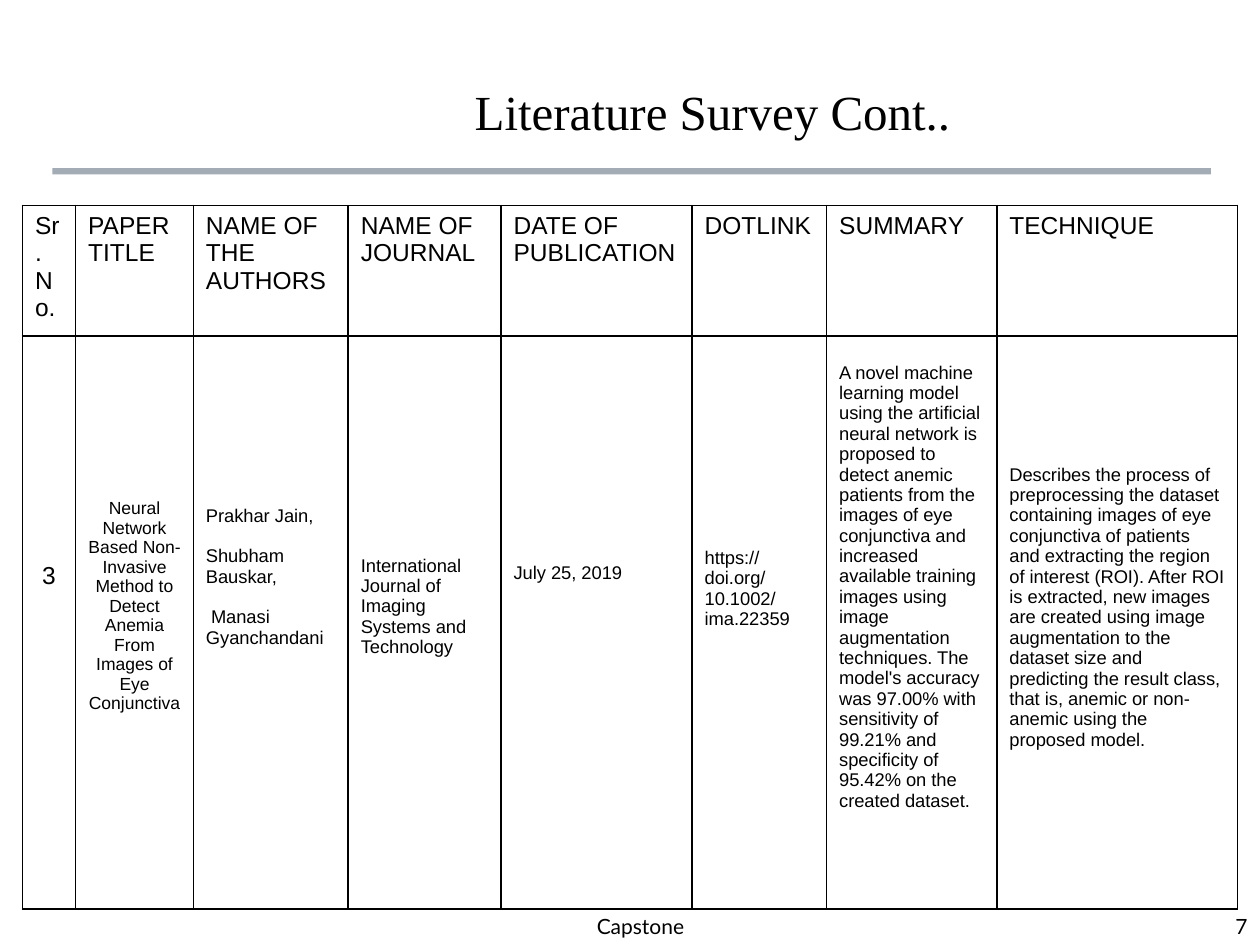
"""Build the literature survey slide with its one-paper table."""
from lxml import etree
from pptx import Presentation
from pptx import util as u
from pptx.dml.color import RGBColor
from pptx.enum import shapes, text
from pptx.oxml import ns

COLORS = {"text": "000000", "rule": "44546A", "border": "000000"}
LEFT, CENTER, RIGHT = text.PP_ALIGN.LEFT, text.PP_ALIGN.CENTER, text.PP_ALIGN.RIGHT
INSETS = {"margin_left": 7.2, "margin_right": 7.2, "margin_top": 3.6, "margin_bottom": 3.6}
HEADER_FORMAT = {"size": 14, "font": "Arial", "align": LEFT}
BODY_FORMAT = HEADER_FORMAT | {"size": 10.5}
ROW_HEIGHTS = [52, 327.6]

# Each column: width, heading, body paragraphs, drop of the body text, format changes
COLUMNS = [
    (30.4, "Sr. No.", ["3"], 126, {"size": 14, "align": CENTER}),
    (67.3, "PAPER TITLE",
     ["Neural Network Based Non-Invasive Method to Detect Anemia From Images of Eye Conjunctiva"],
     89.5, {"size": 10, "align": CENTER}),
    (88.5, "NAME OF THE AUTHORS",
     ["Prakhar Jain,", "Shubham Bauskar,", " Manasi Gyanchandani"], 93.5, {"gap": 11.6}),
    (87.3, "NAME OF JOURNAL",
     ["International Journal of Imaging Systems and", "Technology"], 122, {}),
    (109.2, "DATE OF PUBLICATION", ["July 25, 2019"], 126, {}),
    (76.9, "DOTLINK", ["https://doi.org/10.1002/ima.22359"], 117.5, {}),
    (97.3, "SUMMARY",
     ["A novel machine learning model using the artificial neural network is proposed to detect "
      "anemic patients from the images of eye conjunctiva and increased available training images "
      "using image augmentation techniques. The model's accuracy was 97.00% with sensitivity of "
      "99.21% and specificity of 95.42% on the created dataset."], 11.7, {}),
    (137.4, "TECHNIQUE",
     ["Describes the process of preprocessing the dataset containing images of eye conjunctiva of "
      "patients and extracting the region of interest (ROI). After ROI is extracted, new images "
      "are created using image augmentation to the dataset size and predicting the result class, "
      "that is, anemic or non-anemic using the proposed model."], 70, {}),
]


def set_attributes(target, values):
    for name, value in values.items():
        setattr(target, name, value)


def set_insets(target, drop=0):
    insets = INSETS | {"margin_top": INSETS["margin_top"] + drop}
    set_attributes(target, {name: u.Pt(value) for name, value in insets.items()})


def write_paragraphs(frame, lines, style):
    for index, line in enumerate(lines):
        paragraph = frame.add_paragraph() if index else frame.paragraphs[0]
        paragraph.alignment = style["align"]
        if index and "gap" in style:
            paragraph.space_before = u.Pt(style["gap"])
        run = paragraph.add_run()
        run.text = line
        set_attributes(run.font, {"size": u.Pt(style["size"]), "name": style["font"]})
        run.font.color.rgb = RGBColor.from_string(COLORS["text"])


def add_text(slide, box, line, style):
    frame = slide.shapes.add_textbox(*map(u.Pt, box)).text_frame
    set_attributes(frame, {"word_wrap": True, "vertical_anchor": text.MSO_ANCHOR.BOTTOM})
    set_insets(frame)
    write_paragraphs(frame, [line], style)


def add_rule(slide, box, opacity):
    shape = slide.shapes.add_shape(shapes.MSO_SHAPE.RECTANGLE, *map(u.Pt, box))
    shape.shadow.inherit = False
    shape.line.fill.background()
    shape.fill.solid()
    shape.fill.fore_color.rgb = RGBColor.from_string(COLORS["rule"])
    color = shape.fill._xPr.find(".//" + ns.qn("a:srgbClr"))
    etree.SubElement(color, ns.qn("a:alpha"), val=str(opacity * 1000))


def add_borders(cell, width):
    properties = cell._tc.get_or_add_tcPr()
    for position, side in enumerate(("lnL", "lnR", "lnT", "lnB")):
        line = etree.Element(ns.qn(f"a:{side}"), w=str(u.Pt(width)))
        fill = etree.SubElement(line, ns.qn("a:solidFill"))
        etree.SubElement(fill, ns.qn("a:srgbClr"), val=COLORS["border"])
        properties.insert(position, line)


def fill_cell(cell, lines, style, drop=0):
    cell.fill.background()
    set_insets(cell, drop)
    write_paragraphs(cell.text_frame, lines, style)
    add_borders(cell, 1)


def add_survey_table(slide, left, top):
    width = sum(column[0] for column in COLUMNS)
    box = (left, top, width, sum(ROW_HEIGHTS))
    table = slide.shapes.add_table(len(ROW_HEIGHTS), len(COLUMNS), *map(u.Pt, box)).table
    set_attributes(table, {"first_row": False, "horz_banding": False})
    for row, height in zip(table.rows, ROW_HEIGHTS):
        row.height = u.Pt(height)
    for index, (column_width, heading, lines, drop, changes) in enumerate(COLUMNS):
        table.columns[index].width = u.Pt(column_width)
        fill_cell(table.cell(0, index), [heading], HEADER_FORMAT)
        fill_cell(table.cell(1, index), lines, BODY_FORMAT | changes, drop)


def main():
    presentation = Presentation()
    set_attributes(presentation, {"slide_width": u.Pt(720), "slide_height": u.Pt(540)})
    slide = presentation.slides.add_slide(presentation.slide_layouts[6])
    footer = {"size": 12, "font": "Lato"}
    add_rule(slide, (30, 96, 662, 3.6), 49)
    add_text(slide, (94.3, 0, 625.7, 83.5), "Literature Survey Cont..",
             {"size": 28, "font": "Times New Roman", "align": CENTER})
    add_text(slide, (252, 498, 228, 42), "Capstone", footer | {"align": CENTER})
    add_text(slide, (570, 504, 150, 36), "7", footer | {"align": RIGHT})
    add_survey_table(slide, 12.8, 117.4)
    presentation.save("out.pptx")


if __name__ == "__main__":
    main()
